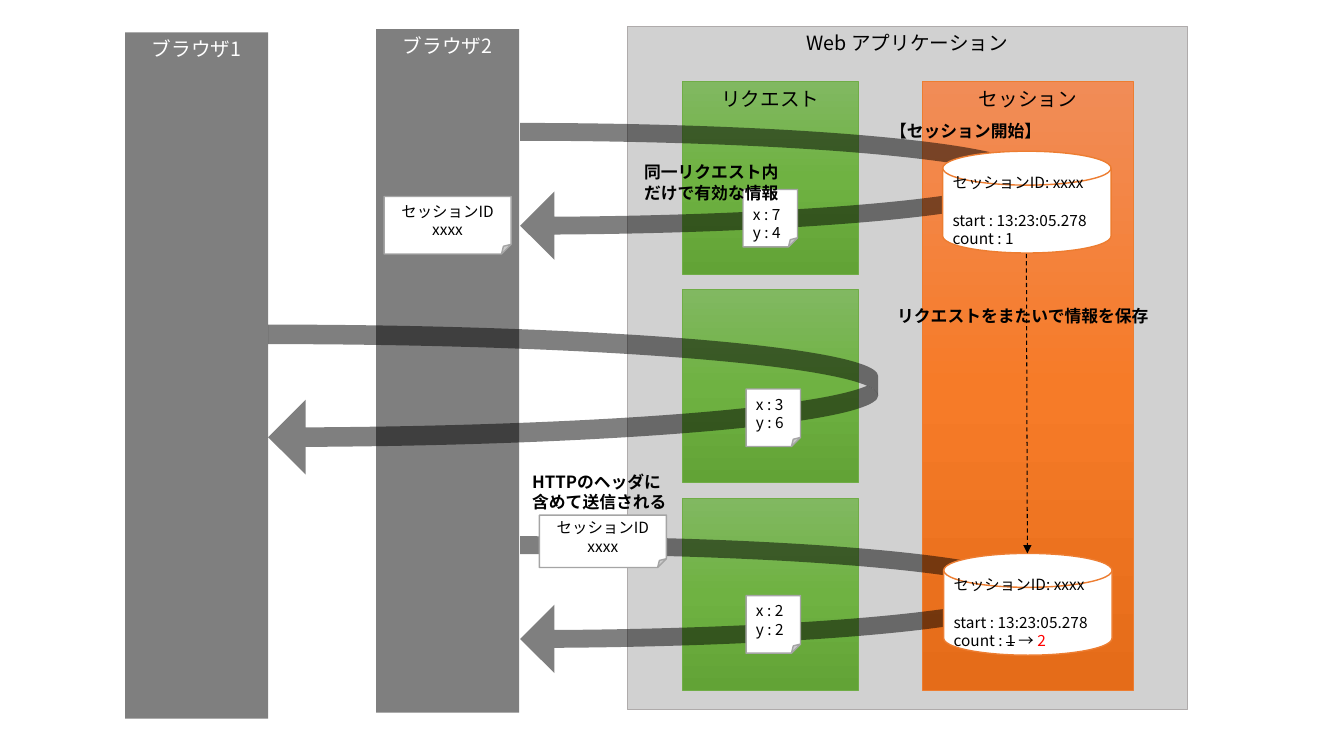
from copy import deepcopy
from pptx import Presentation
from pptx import util as u
from pptx.dml.color import RGBColor
from pptx.enum import dml, shapes, text
from pptx.oxml import ns, xmlchemy

FONT = "Noto Sans CJK JP"
KIND = shapes.MSO_SHAPE
LEFT, MID = text.PP_ALIGN.LEFT, text.PP_ALIGN.CENTER
GREEN = ["81B861", "6FB242", "62A336"]
AMBER = ["F18C57", "F67B28", "E56C19"]


def rgb(code):
    return RGBColor.from_string(code)


def add(parent, tag, **attrs):
    node = xmlchemy.OxmlElement(tag)
    for key, val in attrs.items():
        node.set(key, val)
    parent.append(node)


def write(shape, lines, size, color="000000", align=LEFT, bold=False):
    frame = shape.text_frame
    frame.word_wrap = True
    frame.text = "\n".join(lines)
    for para in frame.paragraphs:
        para.alignment = align
        font = para.font
        font.size, font.bold, font.name = u.Pt(size), bold, FONT
        font.color.rgb = rgb(color)
        add(para._p.pPr.find(ns.qn("a:defRPr")), "a:ea", typeface=FONT)
    return frame


def draw(slide, kind, box, fill, line=None, width=1, half=False):
    shape = slide.shapes.add_shape(kind, *map(u.Inches, box))
    shape.shadow.inherit = False
    props = shape._element.spPr
    if isinstance(fill, list):
        shape.fill.gradient()
        shape.fill.gradient_angle = 270
        stops = props.find(".//" + ns.qn("a:gsLst"))
        stops.append(deepcopy(stops[0]))
        for i, stop in enumerate(shape.fill.gradient_stops):
            stop.color.rgb = rgb(fill[i])
            stop.position = i / 2
    else:
        shape.fill.solid()
        shape.fill.fore_color.rgb = rgb(fill)
    if half:
        add(props.find(".//" + ns.qn("a:srgbClr")), "a:alpha", val="50000")
    if line:
        shape.line.color.rgb = rgb(line)
        shape.line.width = u.Pt(width)
    else:
        shape.line.fill.background()
    return shape


def panel(slide, box, title, fill, color="000000", **style):
    shape = draw(slide, KIND.RECTANGLE, box, fill, **style)
    frame = write(shape, [title], 14, color, MID)
    frame.vertical_anchor = text.MSO_ANCHOR.TOP


def web(slide, x, y, w, h):
    """Web application: session column and one block per request."""
    panel(slide, (x, y, w, h), "Web アプリケーション", "A5A5A5",
          line="AFABAB", width=0.75, half=True)
    top = y + 0.55
    panel(slide, (x + 2.93, top, 2.09, 6.04), "セッション", AMBER,
          line="ED7D31", width=0.5)
    for i, title in enumerate(["リクエスト", "", ""]):
        panel(slide, (x + 0.55, top + i * 2.065, 1.74, 1.91), title, GREEN,
              line="70AD47", width=0.5)


def trip(slide, x, y, w, h):
    """Round trip of a request and its response."""
    arrow = draw(slide, KIND.CURVED_LEFT_ARROW, (x, y, w, h), "000000",
                 half=True)
    for i, val in enumerate([0.13, 0.5, 0.25]):
        arrow.adjustments[i] = val


def disk(slide, x, y, w, h, count):
    """Stored session data."""
    shape = draw(slide, KIND.FLOWCHART_MAGNETIC_DISK, (x, y, w, h), "FFFFFF",
                 "ED7D31")
    lines = ["セッションID: xxxx", "start : 13:23:05.278", count]
    frame = write(shape, lines, 11)
    frame.vertical_anchor = text.MSO_ANCHOR.MIDDLE
    frame.paragraphs[1].space_before = u.Pt(13.5)
    return frame.paragraphs[2]


def note(slide, x, y, w, h, lines, align=LEFT, drop=0):
    """Folded sheet carrying data."""
    shape = draw(slide, KIND.FOLDED_CORNER, (x, y, w, h), "FFFFFF", "A5A5A5")
    frame = write(shape, lines, 11, align=align)
    frame.vertical_anchor = text.MSO_ANCHOR.MIDDLE
    frame.margin_top, frame.margin_bottom = u.Inches(drop), 0


def label(slide, x, y, w, h, *lines):
    shape = slide.shapes.add_textbox(*map(u.Inches, (x, y, w, h)))
    write(shape, lines, 12, bold=True)


def link(slide, x, y, w, h):
    """Dashed arrow between the two session states."""
    line = slide.shapes.add_connector(
        shapes.MSO_CONNECTOR.STRAIGHT,
        *map(u.Inches, (x, y, x + w, y + h)))
    line.line.color.rgb = rgb("000000")
    line.line.width = u.Pt(0.75)
    line.line.dash_style = dml.MSO_LINE.DASH
    add(line.line._get_or_add_ln(), "a:tailEnd", type="triangle")
    add(line._element.spPr, "a:effectLst")


deck = Presentation()
deck.slide_width, deck.slide_height = u.Inches(13.33), u.Inches(7.5)
slide = deck.slides.add_slide(deck.slide_layouts[6])

# Panels
web(slide, 6.22, 0.26, 5.56, 6.78)
panel(slide, (3.73, 0.29, 1.42, 6.78), "ブラウザ2", "000000", "FFFFFF", half=True)
panel(slide, (1.24, 0.32, 1.42, 6.81), "ブラウザ1", "000000", "FFFFFF", half=True)

# Round trips
trip(slide, 5.16, 1.22, 5.03, 1.36)
trip(slide, 2.66, 3.22, 6.05, 1.49)
trip(slide, 5.16, 5.32, 5.03, 1.36)

# Session states, the later one with its count replaced
disk(slide, 9.35, 1.5, 1.67, 1.01, "count : 1")
count = disk(slide, 9.36, 5.49, 1.67, 1.01, "count : ")
old, gap, new = [count.add_run() for _ in range(3)]
old.text, gap.text, new.text = "1", " → ", "2"
old.font._element.set("strike", "sngStrike")
new.font.color.rgb = rgb("FF0000")
link(slide, 10.18, 2.52, 0.01, 2.97)

# Request values and session IDs
note(slide, 7.37, 1.88, 0.54, 0.57, ["x : 7", "y : 4"], drop=0.19)
note(slide, 7.4, 3.86, 0.54, 0.57, ["x : 3", "y : 6"])
note(slide, 7.4, 5.91, 0.54, 0.57, ["x : 2", "y : 2"])
for x, y, h in [(3.81, 1.95, 0.57), (5.35, 5.11, 0.52)]:
    note(slide, x, y, 1.26, h, ["セッションID", "xxxx"], MID)

# Labels
label(slide, 8.73, 1.15, 1.74, 0.3, "【セッション開始】")
label(slide, 8.8, 2.98, 2.79, 0.3, "リクエストをまたいで情報を保存")
label(slide, 6.29, 1.56, 1.56, 0.5, "同一リクエスト内", "だけで有効な情報")
label(slide, 5.18, 4.63, 1.56, 0.5, "HTTPのヘッダに", "含めて送信される")

deck.save("out.pptx")
